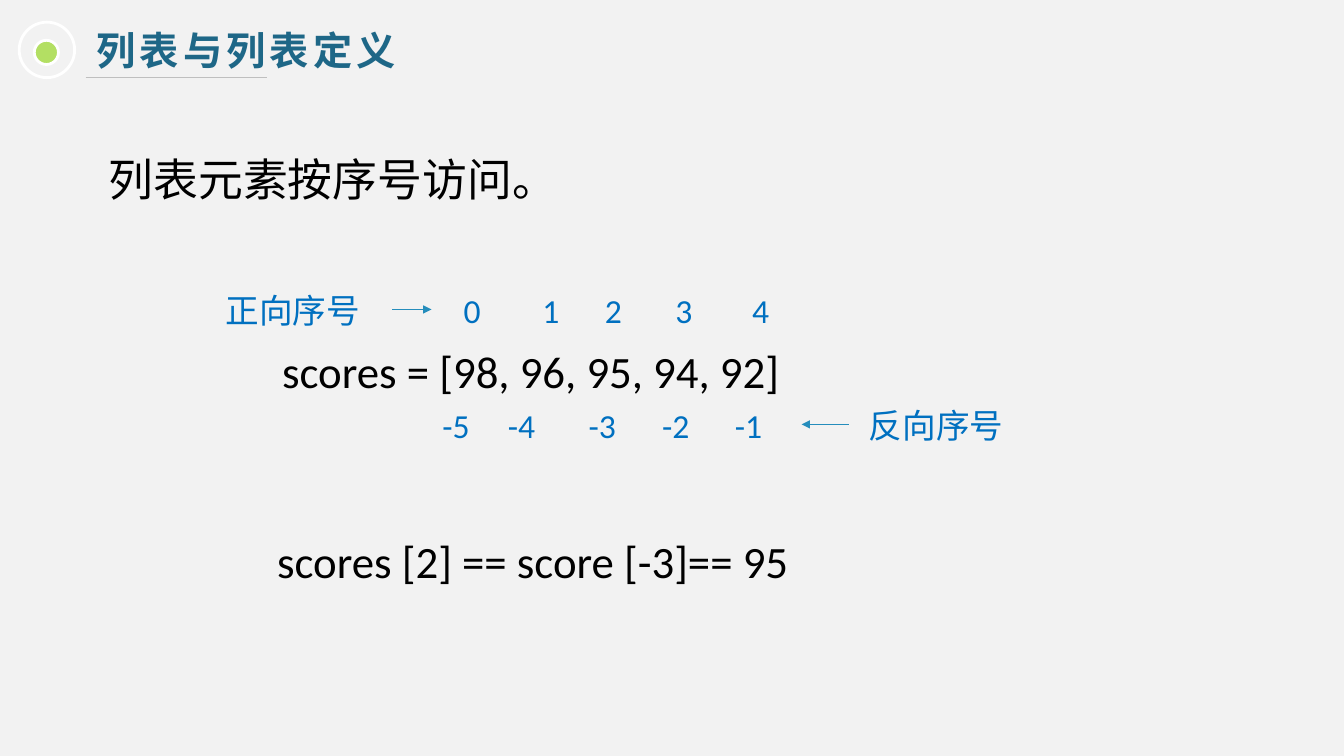
from dataclasses import dataclass

from lxml.etree import SubElement
from pptx import Presentation
from pptx.dml.color import RGBColor
from pptx.enum.shapes import MSO_CONNECTOR, MSO_SHAPE
from pptx.enum.text import MSO_ANCHOR, MSO_AUTO_SIZE
from pptx.oxml.ns import qn
from pptx.util import Inches, Pt


@dataclass(frozen=True)
class Theme:
    """Colours, fonts and type sizes of the slide."""
    background: str = "F2F2F2"
    title: str = "1E6787"
    body: str = "000000"
    index: str = "0070C0"
    arrow: str = "258DBC"
    rule: str = "BFBFBF"
    dot: str = "B3DF63"
    ring: str = "FFFFFF"
    latin: str = "Calibri"
    chinese: str = "Noto Sans CJK SC"
    title_size: int = 28
    body_size: int = 32
    index_size: int = 24


class SlideBuilder:
    """Draws styled elements on the current slide."""

    def __init__(self, page, theme):
        """Keep the page and theme, and paint the background."""
        self.page = page
        self.theme = theme
        page.background.fill.solid()
        page.background.fill.fore_color.rgb = RGBColor.from_string(theme.background)

    def text(self, place, words, size, color, tabs=(), latin=None, bold=False,
             spacing=0, anchor=MSO_ANCHOR.TOP):
        """Add one line of text, with optional tab stops in inches."""
        box = self.page.shapes.add_textbox(*map(Inches, place))
        frame = box.text_frame
        fit = MSO_AUTO_SIZE.NONE if tabs else MSO_AUTO_SIZE.SHAPE_TO_FIT_TEXT
        frame_format = {"word_wrap": True, "auto_size": fit, "vertical_anchor": anchor}
        for name, value in frame_format.items():
            setattr(frame, name, value)
        para = frame.paragraphs[0]
        if tabs:
            stops = SubElement(para._p.get_or_add_pPr(), qn("a:tabLst"))
            for stop in tabs:
                SubElement(stops, qn("a:tab"), pos=str(Inches(stop)), algn="l")
        span = para.add_run()
        span.text = words
        font_format = {"name": latin or self.theme.latin, "size": Pt(size), "bold": bold}
        for name, value in font_format.items():
            setattr(span.font, name, value)
        span.font.color.rgb = RGBColor.from_string(color)
        properties = span._r.get_or_add_rPr()
        SubElement(properties, qn("a:ea"), typeface=self.theme.chinese)
        if spacing:
            properties.set("spc", str(spacing * 100))

    def circle(self, left, top, size, fill=None):
        """Add a white-edged circle, filled or open."""
        shape = self.page.shapes.add_shape(
            MSO_SHAPE.OVAL, *map(Inches, (left, top, size, size)))
        shape.shadow.inherit = False
        if fill:
            shape.fill.solid()
            shape.fill.fore_color.rgb = RGBColor.from_string(fill)
        else:
            shape.fill.background()
        shape.line.color.rgb = RGBColor.from_string(self.theme.ring)
        shape.line.width = Pt(2)

    def line(self, start, end, height, color, arrow=False):
        """Add a level line, with an optional arrowhead at its end."""
        line = self.page.shapes.add_connector(
            MSO_CONNECTOR.STRAIGHT, *map(Inches, (start, height, end, height)))
        line.line.color.rgb = RGBColor.from_string(color)
        line.line.width = Pt(0.75)
        if arrow:
            SubElement(line.line._get_or_add_ln(), qn("a:tailEnd"), type="triangle")
        SubElement(line._element.spPr, qn("a:effectLst"))


def main():
    """Build and save the slide about list indexes."""
    theme = Theme()
    deck = Presentation()
    for name, value in {"slide_width": 13.33, "slide_height": 7.5}.items():
        setattr(deck, name, Inches(value))
    builder = SlideBuilder(deck.slides.add_slide(deck.slide_layouts[6]), theme)

    builder.text((0.86, 0.21, 6.84, 0.57), "列表与列表定义", theme.title_size,
                 theme.title, latin=theme.chinese, bold=True, spacing=3)
    builder.circle(0.34, 0.4, 0.24, theme.dot)
    builder.circle(0.19, 0.22, 0.55)
    builder.line(0.85, 2.65, 0.77, theme.rule)

    statements = [
        (0.98, 1.46, "列表元素按序号访问。"),
        (2.7, 3.36, "scores = [98, 96, 95, 94, 92]"),
        (2.65, 5.25, "scores [2] == score [-3]== 95"),
    ]
    for left, top, words in statements:
        builder.text((left, top, 7.83, 0.64), words, theme.body_size, theme.body)

    forward = ["正向序号", *map(str, range(5))]
    backward = ["", *map(str, range(-5, 0)), "反向序号"]
    index_rows = [
        (2.14, 2.79, 6.12, forward, (2.36, 3.14, 3.76, 4.46, 5.22), 3.89, 4.28, 3.07),
        (3.56, 3.93, 6.76, backward, (0.73, 1.38, 2.18, 2.91, 3.63, 4.96), 8.42, 7.95, 4.21),
    ]
    for left, top, width, labels, tabs, start, end, height in index_rows:
        builder.text((left, top, width, 0.57), "\t".join(labels), theme.index_size,
                     theme.index, tabs, anchor=MSO_ANCHOR.MIDDLE)
        builder.line(start, end, height, theme.arrow, arrow=True)

    deck.save("out.pptx")


if __name__ == "__main__":
    main()
